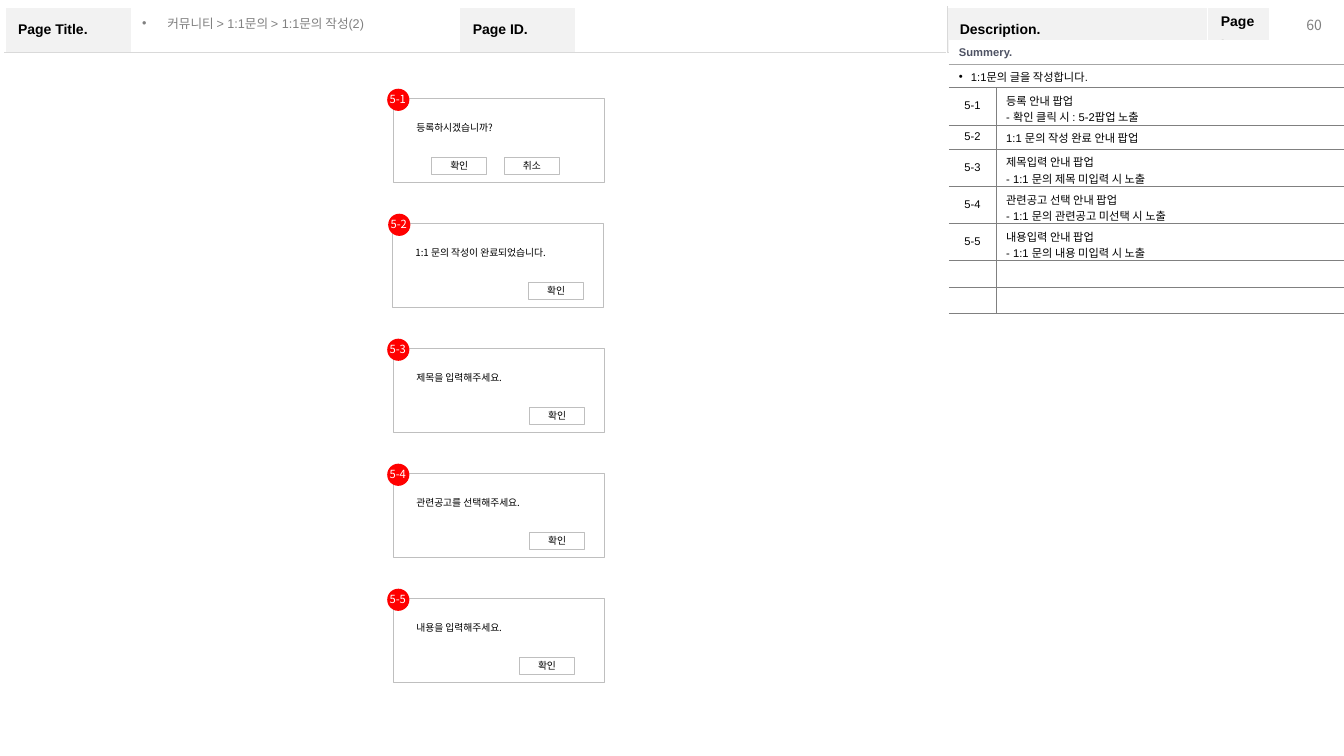
from lxml.etree import SubElement
from pptx import Presentation
from pptx.dml.color import RGBColor
from pptx.enum.shapes import MSO_SHAPE
from pptx.enum.text import MSO_ANCHOR, MSO_AUTO_SIZE, PP_ALIGN
from pptx.oxml.ns import qn
from pptx.util import Inches, Pt

SANS = "Arial"
KOREAN = "Noto Sans CJK KR"
BREADCRUMB = "커뮤니티 > 1:1문의 > 1:1문의 작성(2)"
PAGE_NUMBER = "60"

HEADER_LABELS = ["Page Title.", "", "Page ID.", "", "Description.", "Page.", ""]
HEADER_COLUMNS = [1.26, 3.25, 1.15, 3.68, 2.59, 0.61, 0.68]
HEADER_ROWS = [0.33, 6.66]
DIVIDER_COLUMN = 4

SUMMARY_TITLE = "Summery."
SUMMARY = "1:1문의 글을 작성합니다."
DESCRIPTIONS = [
    ("5-1", ["등록 안내 팝업", "- 확인 클릭 시 : 5-2팝업 노출"]),
    ("5-2", ["1:1 문의 작성 완료 안내 팝업"]),
    ("5-3", ["제목입력 안내 팝업", "- 1:1 문의 제목 미입력 시 노출"]),
    ("5-4", ["관련공고 선택 안내 팝업", "- 1:1 문의 관련공고 미선택 시 노출"]),
    ("5-5", ["내용입력 안내 팝업", "- 1:1 문의 내용 미입력 시 노출"]),
    ("", [""]),
    ("", [""]),
]
DESCRIPTION_COLUMNS = [0.47, 3.46]
DESCRIPTION_ROWS = [0.23, 0.23, 0.37, 0.24, 0.37, 0.37, 0.37, 0.26, 0.26]

POPUPS = [
    ("5-1", "등록하시겠습니까?", 3.9, 3.84, [("확인", 0.38), ("취소", 1.1)]),
    ("5-2", "1:1 문의 작성이 완료되었습니다.", 3.89, 3.85, [("확인", 1.35)]),
    ("5-3", "제목을 입력해주세요.", 3.9, 3.84, [("확인", 1.35)]),
    ("5-4", "관련공고를 선택해주세요.", 3.9, 3.84, [("확인", 1.35)]),
    ("5-5", "내용을 입력해주세요.", 3.9, 3.84, [("확인", 1.25)]),
]
POPUP_TOP, POPUP_STEP = 0.98, 1.24


def color(value):
    return RGBColor.from_string(value)


def set_margins(target, horizontal, vertical):
    margins = {"margin_left": horizontal, "margin_right": horizontal,
               "margin_top": vertical, "margin_bottom": vertical}
    for name, value in margins.items():
        setattr(target, name, Inches(value))


def write(frame, lines, size, font, tint, bold=False, align=PP_ALIGN.LEFT, spacing=None, bullet=None):
    for index, line in enumerate(lines):
        para = frame.paragraphs[0] if index == 0 else frame.add_paragraph()
        if bullet:
            properties = para._p.get_or_add_pPr()
            properties.set("marL", str(Inches(bullet)))
            properties.set("indent", str(-Inches(bullet)))
            SubElement(properties, qn("a:buFont"), typeface=SANS)
            SubElement(properties, qn("a:buChar"), char="•")
        layout = {"alignment": align, "line_spacing": spacing, "space_before": Pt(0)}
        for name, value in layout.items():
            setattr(para, name, value)
        if not line:
            SubElement(para._p, qn("a:endParaRPr"), sz=str(size * 100))
            continue
        span = para.add_run()
        span.text = line
        for name, value in {"size": Pt(size), "name": font, "bold": bold}.items():
            setattr(span.font, name, value)
        span.font.color.rgb = color(tint)
        SubElement(span._r.get_or_add_rPr(), qn("a:ea"), typeface=KOREAN)


def set_borders(cell, borders):
    properties = cell._tc.get_or_add_tcPr()
    for side in "LRTB":
        tint, width = borders.get(side, (None, 0))
        line = SubElement(properties, qn(f"a:ln{side}"), w=str(Pt(width)))
        if tint:
            SubElement(SubElement(line, qn("a:solidFill")), qn("a:srgbClr"), val=tint)
        else:
            SubElement(line, qn("a:noFill"))


def set_cell(cell, lines, size, insets, borders, fill=None, **text):
    set_borders(cell, borders)
    set_margins(cell, *insets)
    cell.vertical_anchor = MSO_ANCHOR.MIDDLE
    if fill:
        cell.fill.solid()
        cell.fill.fore_color.rgb = color(fill)
    else:
        cell.fill.background()
    write(cell.text_frame, lines, size, SANS, text.pop("tint", "000000"), **text)


def add_grid(page, left, top, columns, rows):
    frame = page.shapes.add_table(len(rows), len(columns), Inches(left), Inches(top),
                                  Inches(sum(columns)), Inches(sum(rows)))
    table = frame.table
    table.first_row = table.horz_banding = False
    for column, width in zip(table.columns, columns):
        column.width = Inches(width)
    for row, height in zip(table.rows, rows):
        row.height = Inches(height)
    return table


def add_header(page):
    table = add_grid(page, 0.05, 0.07, HEADER_COLUMNS, HEADER_ROWS)
    white, gray = ("FFFFFF", 1), ("D9D9D9", 0.25)
    for index, label in enumerate(HEADER_LABELS):
        sides = {"L": gray if index == DIVIDER_COLUMN else white,
                 "R": gray if index == DIVIDER_COLUMN - 1 else white}
        set_cell(table.cell(0, index), [label], 10, (0.13, 0.07), {**sides, "T": white, "B": gray},
                 "F2F2F2" if label else None, bold=True)
        set_cell(table.cell(1, index), [""], 10, (0.13, 0.07), {**sides, "T": gray, "B": white})
    table.cell(1, 0).merge(table.cell(1, DIVIDER_COLUMN - 1))
    table.cell(1, DIVIDER_COLUMN).merge(table.cell(1, len(HEADER_COLUMNS) - 1))


def add_descriptions(page):
    table = add_grid(page, 9.41, 0.4, DESCRIPTION_COLUMNS, DESCRIPTION_ROWS)
    light, dark, insets = ("A6A6A6", 0.25), ("808080", 0.25), (0.1, 0.05)
    set_cell(table.cell(0, 0), [SUMMARY_TITLE], 8, insets, {"B": light}, "FFFFFF", tint="4E5263", bold=True)
    set_cell(table.cell(1, 0), [SUMMARY], 8, insets, {"T": light, "B": dark},
             align=PP_ALIGN.JUSTIFY, bullet=0.12)
    set_cell(table.cell(0, 1), [""], 8, insets, {"B": light})
    set_cell(table.cell(1, 1), [""], 8, insets, {"T": light, "B": dark})
    for row in range(2):
        table.cell(row, 0).merge(table.cell(row, 1))
    edges = {"T": dark, "B": dark}
    for row, (number, lines) in enumerate(DESCRIPTIONS, start=2):
        set_cell(table.cell(row, 0), [number], 8, insets, {**edges, "R": dark}, align=PP_ALIGN.CENTER)
        set_cell(table.cell(row, 1), lines, 8, insets, {**edges, "L": dark}, align=PP_ALIGN.JUSTIFY)


def add_block(shapes, kind, left, top, width, height, fill, line=None):
    box = shapes.add_shape(kind, Inches(left), Inches(top), Inches(width), Inches(height))
    box.shadow.inherit = False
    box.fill.solid()
    box.fill.fore_color.rgb = color(fill)
    if line:
        box.line.color.rgb = color(line)
        box.line.width = Pt(0.75)
    else:
        box.line.fill.background()
    return box


def set_frame(box, insets, anchor=MSO_ANCHOR.MIDDLE):
    frame = box.text_frame
    frame.word_wrap = True
    frame.vertical_anchor = anchor
    set_margins(frame, *insets)
    return frame


def add_label(shapes, text, left, top, width, height, insets, size, tint, align):
    box = shapes.add_textbox(Inches(left), Inches(top), Inches(width), Inches(height))
    write(set_frame(box, insets), [text], size, KOREAN, tint, align=align)


def add_popup(page, top, number, message, left, badge_left, buttons):
    shapes = page.shapes.add_group_shape().shapes
    add_block(shapes, MSO_SHAPE.RECTANGLE, left, top, 2.1, 0.83, "FFFFFF", "BFBFBF")
    box = add_block(shapes, MSO_SHAPE.RECTANGLE, left + 0.23, top + 0.13, 1.7, 0.25, "FFFFFF")
    frame = set_frame(box, (0, 0.06), MSO_ANCHOR.TOP)
    frame.auto_size = MSO_AUTO_SIZE.SHAPE_TO_FIT_TEXT
    write(frame, [message], 7, KOREAN, "000000", spacing=1.3)
    for label, offset in buttons:
        button = add_block(shapes, MSO_SHAPE.RECTANGLE, left + offset, top + 0.58, 0.55, 0.17, "FFFFFF", "BFBFBF")
        write(set_frame(button, (0.1, 0.05)), [label], 7, KOREAN, "000000", align=PP_ALIGN.CENTER)
    add_block(shapes, MSO_SHAPE.OVAL, badge_left, top - 0.1, 0.22, 0.22, "FF0000")
    add_label(shapes, number, badge_left, top - 0.13, 0.21, 0.27, (0, 0.05), 8, "FFFFFF", PP_ALIGN.CENTER)


def main():
    deck = Presentation()
    deck.slide_width, deck.slide_height = Inches(13.33), Inches(7.5)
    page = deck.slides.add_slide(deck.slide_layouts[1])
    title, body = page.placeholders
    title._element.getparent().remove(title._element)
    place = {"left": 1.31, "top": 0.12, "width": 3.24, "height": 0.24}
    for name, value in place.items():
        setattr(body, name, Inches(value))
    write(set_frame(body, (0.1, 0.05)), [BREADCRUMB], 9, SANS, "808080", spacing=0.9, bullet=0.25)
    add_header(page)
    add_label(page.shapes, PAGE_NUMBER, 12.61, 0.1, 0.6, 0.3, (0.1, 0.05), 10, "7F7F7F", PP_ALIGN.RIGHT)
    add_descriptions(page)
    for index, popup in enumerate(POPUPS):
        add_popup(page, POPUP_TOP + POPUP_STEP * index, *popup)
    deck.save("out.pptx")


if __name__ == "__main__":
    main()
